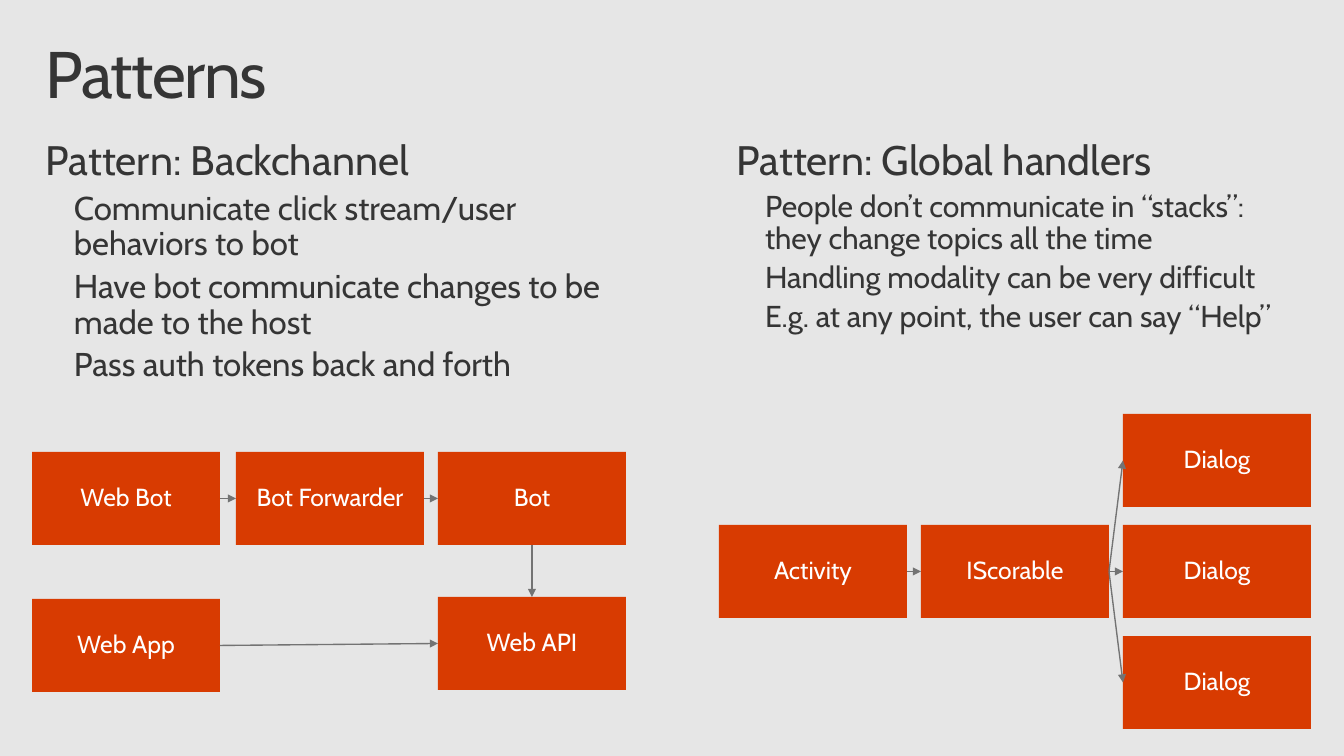
from lxml.etree import SubElement
from pptx import Presentation
from pptx.dml.color import RGBColor
from pptx.enum.shapes import MSO_CONNECTOR, MSO_SHAPE
from pptx.enum.text import MSO_ANCHOR, PP_ALIGN
from pptx.oxml.ns import qn
from pptx.util import Pt

EMU_PER_PX = 9255
TOP, LEFT, BOTTOM, RIGHT = range(4)


def px(n):
    return n * EMU_PER_PX


def rgb(value):
    return RGBColor.from_string(value)


class Deck:
    font = "Cabin"
    ink = "353535"
    accent = "D83B01"
    arrow_color = "737373"
    background = "E6E6E6"
    box_w, box_h = 188, 93

    def __init__(self, w, h):
        self.prs = Presentation()
        self.prs.slide_width, self.prs.slide_height = px(w), px(h)
        self.s = self.prs.slides.add_slide(self.prs.slide_layouts[6])
        fill = self.s.background.fill
        fill.solid()
        fill.fore_color.rgb = rgb(self.background)

    def frame(self, sp, inset_x, inset_y, anchor):
        tf = sp.text_frame
        tf.word_wrap = True
        tf.vertical_anchor = anchor
        tf.margin_left = tf.margin_right = px(inset_x)
        tf.margin_top = tf.margin_bottom = px(inset_y)
        return tf

    def style(self, p, text, size, color):
        p.text = text
        p.line_spacing = 0.9
        p.font.name = self.font
        p.font.size = Pt(size)
        p.font.color.rgb = rgb(color)

    def text_box(self, x, y, w, h):
        sp = self.s.shapes.add_textbox(px(x), px(y), px(w), px(h))
        return self.frame(sp, 16, 10, MSO_ANCHOR.TOP)

    def title(self, x, y, w, h, text):
        p = self.text_box(x, y, w, h).paragraphs[0]
        self.style(p, text, 48, self.ink)
        p.runs[0].font._element.set("spc", "-100")

    def pattern(self, x, y, w, h, heading, points, size):
        tf = self.text_box(x, y, w, h)
        self.style(tf.paragraphs[0], heading, 30, self.ink)
        for text in points:
            p = tf.add_paragraph()
            p.level = 1
            pPr = p._p.get_or_add_pPr()
            pPr.set("marL", str(px(28)))
            pPr.set("indent", "0")
            self.style(p, text, size, self.ink)
            p.space_before = Pt(round(size * 0.22, 1))

    def box(self, x, y, text):
        sp = self.s.shapes.add_shape(
            MSO_SHAPE.RECTANGLE, px(x), px(y), px(self.box_w), px(self.box_h))
        sp.shadow.inherit = False
        sp.fill.solid()
        sp.fill.fore_color.rgb = rgb(self.accent)
        sp.line.fill.background()
        p = self.frame(sp, 20, 16, MSO_ANCHOR.MIDDLE).paragraphs[0]
        self.style(p, text, 18, "FFFFFF")
        p.alignment = PP_ALIGN.CENTER
        return sp

    def arrow(self, start, end, start_side=RIGHT, end_side=LEFT):
        c = self.s.shapes.add_connector(MSO_CONNECTOR.STRAIGHT, 0, 0, 0, 0)
        c.begin_connect(start, start_side)
        c.end_connect(end, end_side)
        c.line.color.rgb = rgb(self.arrow_color)
        c.line.width = Pt(1)
        SubElement(c.line._get_or_add_ln(), qn("a:tailEnd"), type="triangle")
        SubElement(c._element.spPr, qn("a:effectLst"))


def main():
    d = Deck(1344, 756)
    d.title(30, 32, 1284, 99, "Patterns")
    d.pattern(30, 130, 593, 269, "Pattern: Backchannel", [
        "Communicate click stream/user behaviors to bot",
        "Have bot communicate changes to be made to the host",
        "Pass auth tokens back and forth",
    ], 24)
    d.pattern(721, 130, 593, 218, "Pattern: Global handlers", [
        "People don’t communicate in “stacks”: they change topics all the time",
        "Handling modality can be very difficult",
        "E.g. at any point, the user can say “Help”",
    ], 22)

    web_bot = d.box(32, 452, "Web Bot")
    forwarder = d.box(236, 452, "Bot Forwarder")
    bot = d.box(438, 452, "Bot")
    web_app = d.box(32, 599, "Web App")
    web_api = d.box(438, 597, "Web API")
    d.arrow(web_bot, forwarder)
    d.arrow(forwarder, bot)
    d.arrow(bot, web_api, BOTTOM, TOP)
    d.arrow(web_app, web_api)

    activity = d.box(719, 525, "Activity")
    scorable = d.box(921, 525, "IScorable")
    d.arrow(activity, scorable)
    for row in (-1, 0, 1):
        d.arrow(scorable, d.box(1123, 525 + row * 111, "Dialog"))

    d.prs.save("out.pptx")


if __name__ == "__main__":
    main()
